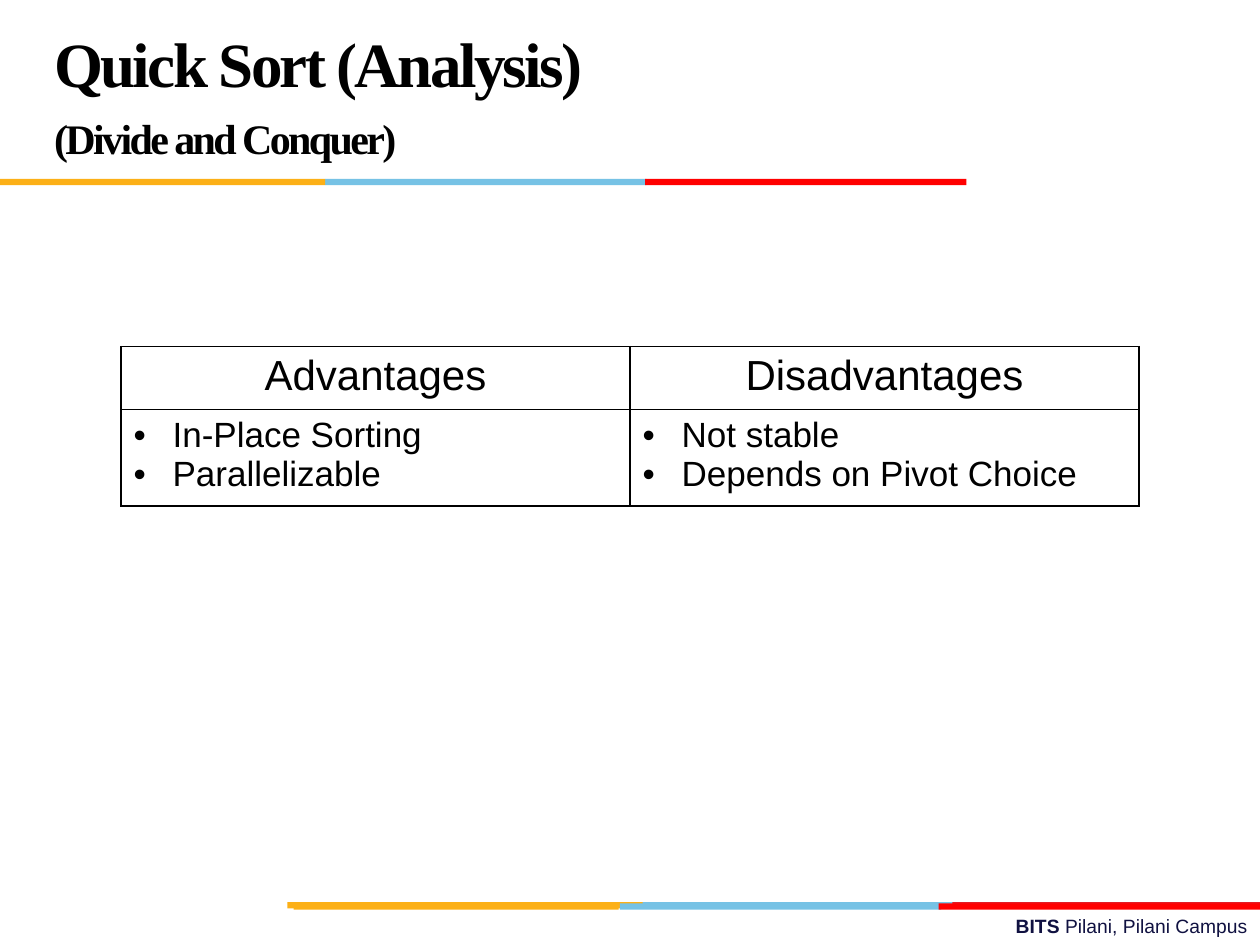
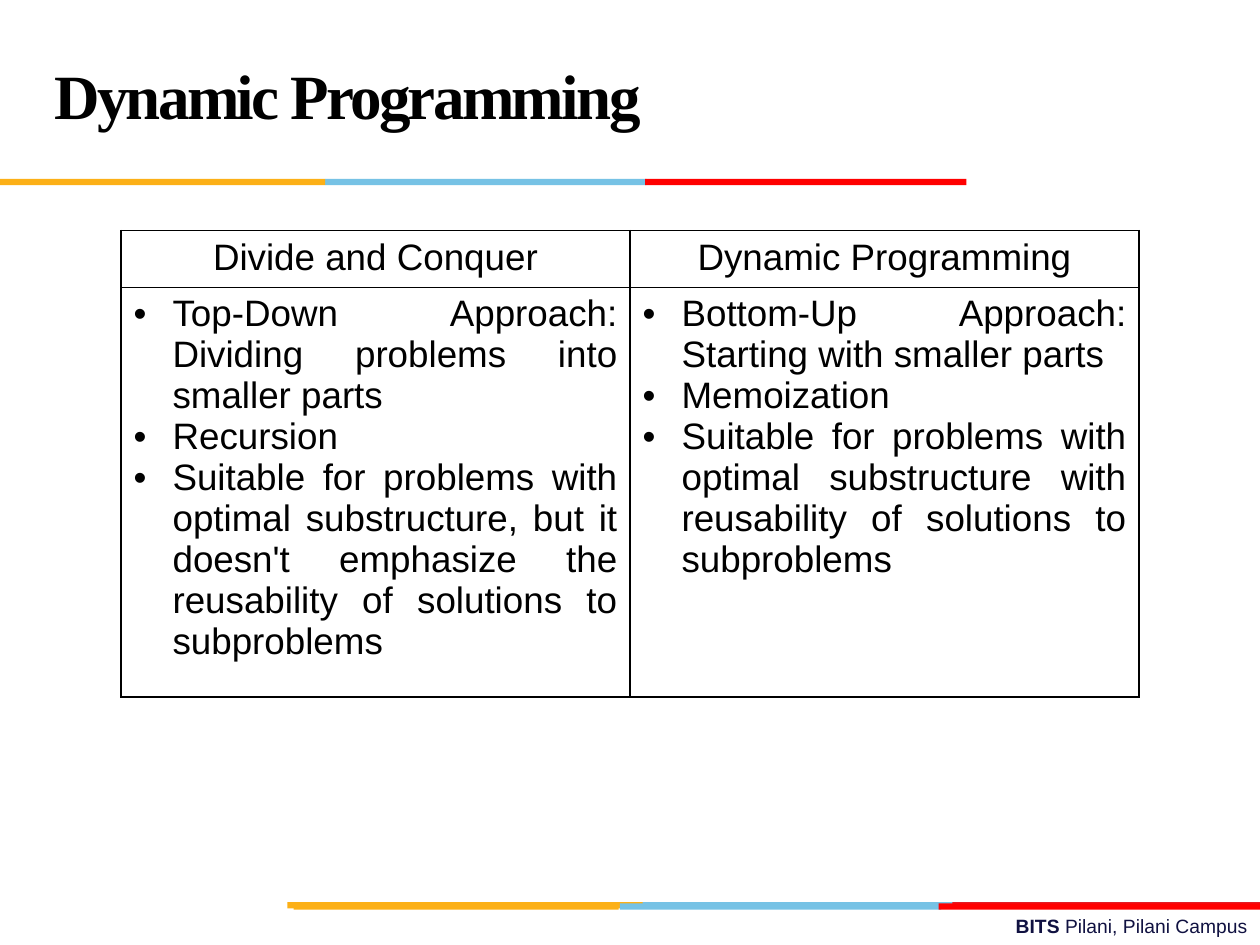
from dataclasses import dataclass
from typing import Any, NamedTuple

from lxml.etree import SubElement
from pptx import Presentation
from pptx.dml.color import RGBColor
from pptx.enum.shapes import MSO_SHAPE
from pptx.enum.text import MSO_ANCHOR, MSO_AUTO_SIZE, PP_ALIGN
from pptx.oxml.ns import qn
from pptx.util import Pt

EMU_PER_PX = 9144


@dataclass(frozen=True)
class Theme:
    heading_font: str = "Times New Roman"
    text_font: str = "Arial"
    ink: str = "000000"
    navy: str = "101141"
    amber: str = "FCB017"
    sky: str = "76C2E5"
    crimson: str = "E31C24"
    red: str = "FF0000"
    title_size: int = 36
    subtitle_size: int = 24
    title_leading: int = 36
    title_tracking: int = -150
    footer_size: int = 11
    border_width: int = 1


THEME = Theme()


class Box(NamedTuple):
    left: int
    top: int
    width: int
    height: int


class Band(NamedTuple):
    box: Box
    color: str


class TitleLine(NamedTuple):
    text: str
    size: int


@dataclass(frozen=True)
class Column:
    heading: str
    points: list[str]


@dataclass(frozen=True)
class Comparison:
    title: list[TitleLine]
    title_align: PP_ALIGN
    table_top: int
    heading_size: int
    point_size: int
    columns: list[Column]


BAND_HEIGHT = 5
ROW_HEIGHT = 41
BULLET_INDENT = 31
TITLE_BOX = Box(33, 17, 692, 125)
FOOTER_BOX = Box(358, 721, 642, 29)
TABLE_LEFT, TABLE_WIDTH = 96, 808

BANDS = [
    Band(Box(left, top, width, BAND_HEIGHT), color)
    for left, top, width, color in [
        (506, 716, 255, THEME.sky),
        (756, 716, 244, THEME.crimson),
        (228, 716, 282, THEME.amber),
        (492, 717, 255, THEME.sky),
        (233, 717, 258, THEME.amber),
        (745, 717, 255, THEME.red),
        (258, 142, 255, THEME.sky),
        (0, 142, 258, THEME.amber),
        (512, 142, 255, THEME.red),
    ]
]

COMPARISONS = [
    Comparison(
        title=[
            TitleLine("Quick Sort (Analysis)", THEME.title_size),
            TitleLine("(Divide and Conquer)", THEME.subtitle_size),
        ],
        title_align=PP_ALIGN.LEFT,
        table_top=275,
        heading_size=24,
        point_size=20,
        columns=[
            Column("Advantages", ["In-Place Sorting", "Parallelizable"]),
            Column("Disadvantages", ["Not stable", "Depends on Pivot Choice"]),
        ],
    ),
    Comparison(
        title=[TitleLine("Dynamic Programming", THEME.title_size)],
        title_align=PP_ALIGN.JUSTIFY,
        table_top=183,
        heading_size=21,
        point_size=21,
        columns=[
            Column(
                "Divide and Conquer",
                [
                    "Top-Down Approach: Dividing problems into smaller parts",
                    "Recursion",
                    "Suitable for problems with optimal substructure, but it doesn't "
                    "emphasize the reusability of solutions to subproblems",
                ],
            ),
            Column(
                "Dynamic Programming",
                [
                    "Bottom-Up Approach: Starting with smaller parts",
                    "Memoization",
                    "Suitable for problems with optimal substructure with "
                    "reusability of solutions to subproblems",
                ],
            ),
        ],
    ),
]


def px(length: int) -> int:
    return length * EMU_PER_PX


def scaled(box: Box) -> list[int]:
    return [px(length) for length in box]


def apply_format(target: Any, values: dict[str, Any]) -> None:
    for name, value in values.items():
        setattr(target, name, value)


def add_span(para: Any, text: str, size: int, font: str, color: str, bold: bool = False) -> Any:
    span = para.add_run()
    span.text = text
    apply_format(span.font, {"name": font, "size": Pt(size), "bold": bold})
    span.font.color.rgb = RGBColor.from_string(color)
    return span


def paragraph_at(frame: Any, index: int) -> Any:
    return frame.add_paragraph() if index else frame.paragraphs[0]


def add_band(page: Any, band: Band) -> None:
    shape = page.shapes.add_shape(MSO_SHAPE.RECTANGLE, *scaled(band.box))
    shape.shadow.inherit = False
    shape.fill.solid()
    shape.fill.fore_color.rgb = RGBColor.from_string(band.color)
    shape.line.fill.background()


def add_footer(page: Any) -> None:
    frame = page.shapes.add_textbox(*scaled(FOOTER_BOX)).text_frame
    apply_format(frame, {"word_wrap": True, "auto_size": MSO_AUTO_SIZE.SHAPE_TO_FIT_TEXT})
    para = frame.paragraphs[0]
    para.alignment = PP_ALIGN.RIGHT
    for text, bold in [("BITS ", True), ("Pilani, Pilani Campus", False)]:
        add_span(para, text, THEME.footer_size, THEME.text_font, THEME.navy, bold)


def fill_title(page: Any, comparison: Comparison) -> None:
    title = page.shapes.title
    apply_format(title, dict(zip(Box._fields, scaled(TITLE_BOX))))
    frame = title.text_frame
    apply_format(
        frame,
        {"word_wrap": True, "auto_size": MSO_AUTO_SIZE.NONE, "vertical_anchor": MSO_ANCHOR.MIDDLE},
    )
    for index, line in enumerate(comparison.title):
        para = paragraph_at(frame, index)
        apply_format(
            para,
            {"alignment": comparison.title_align, "line_spacing": Pt(THEME.title_leading)},
        )
        span = add_span(para, line.text, line.size, THEME.heading_font, THEME.ink, True)
        span.font._element.set("spc", str(THEME.title_tracking))


def add_bullet(para: Any) -> None:
    properties = para._p.get_or_add_pPr()
    properties.set("marL", str(px(BULLET_INDENT)))
    properties.set("indent", str(-px(BULLET_INDENT)))
    SubElement(properties, qn("a:buFont")).set("typeface", THEME.text_font)
    SubElement(properties, qn("a:buChar")).set("char", "•")


def style_cell(cell: Any) -> None:
    properties = cell._tc.get_or_add_tcPr()
    for side in ("a:lnL", "a:lnR", "a:lnT", "a:lnB"):
        border = SubElement(properties, qn(side))
        border.set("w", str(Pt(THEME.border_width)))
        fill = SubElement(border, qn("a:solidFill"))
        SubElement(fill, qn("a:srgbClr")).set("val", THEME.ink)
    cell.fill.background()


def add_comparison_table(page: Any, comparison: Comparison) -> None:
    columns = comparison.columns
    box = Box(TABLE_LEFT, comparison.table_top, TABLE_WIDTH, 2 * ROW_HEIGHT)
    table = page.shapes.add_table(2, len(columns), *scaled(box)).table
    apply_format(table, {"first_row": False, "horz_banding": False})
    for index, column in enumerate(columns):
        heading_cell, points_cell = (table.cell(row, index) for row in range(2))
        style_cell(heading_cell)
        style_cell(points_cell)
        heading = heading_cell.text_frame.paragraphs[0]
        heading.alignment = PP_ALIGN.CENTER
        add_span(heading, column.heading, comparison.heading_size, THEME.text_font, THEME.ink)
        for order, point in enumerate(column.points):
            para = paragraph_at(points_cell.text_frame, order)
            para.alignment = PP_ALIGN.JUSTIFY
            add_bullet(para)
            add_span(para, point, comparison.point_size, THEME.text_font, THEME.ink)


def add_page(deck: Any, comparison: Comparison) -> None:
    page = deck.slides.add_slide(deck.slide_layouts.get_by_name("Title Only"))
    add_footer(page)
    for band in BANDS:
        add_band(page, band)
    fill_title(page, comparison)
    add_comparison_table(page, comparison)


def main() -> None:
    deck = Presentation()
    apply_format(deck, {"slide_width": px(1000), "slide_height": px(750)})
    for comparison in COMPARISONS:
        add_page(deck, comparison)
    deck.save("out.pptx")


if __name__ == "__main__":
    main()
